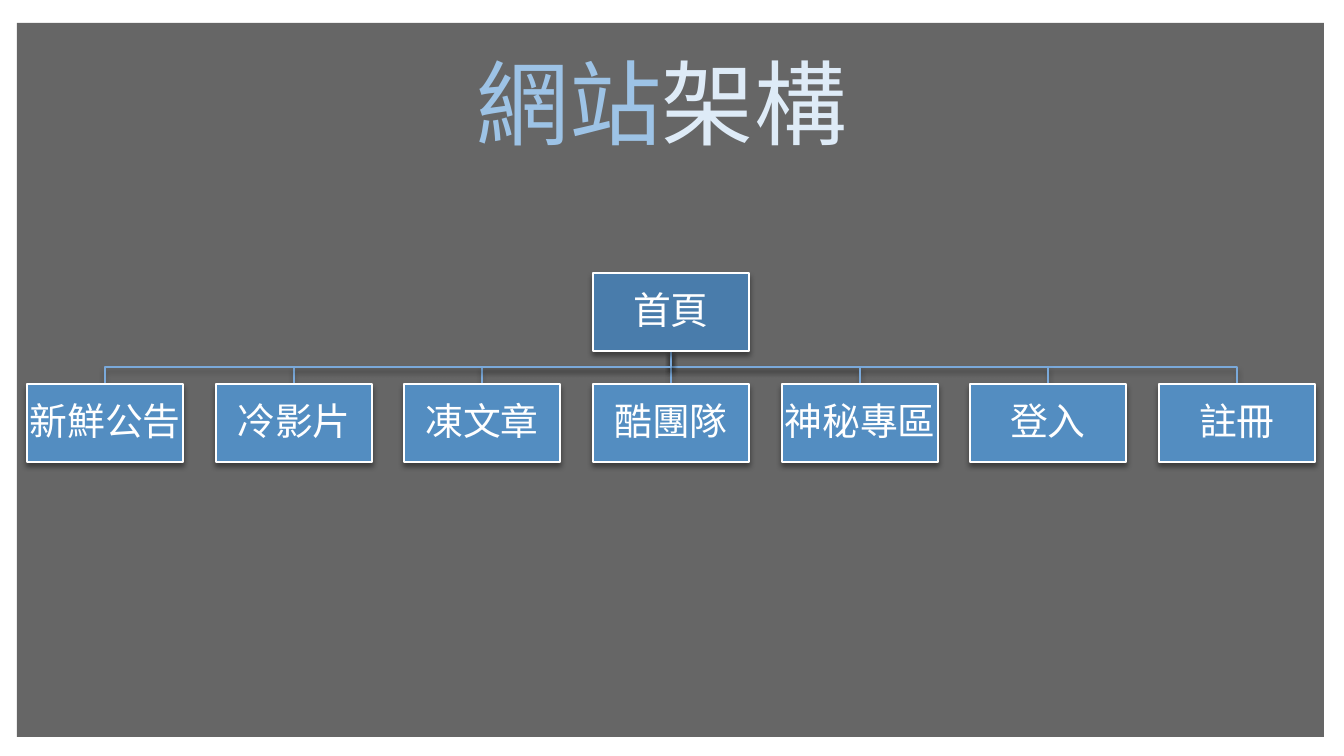
from lxml import etree
from pptx import Presentation
from pptx.dml.color import RGBColor
from pptx.enum.shapes import MSO_CONNECTOR, MSO_SHAPE
from pptx.enum.text import MSO_ANCHOR, MSO_AUTO_SIZE, PP_ALIGN
from pptx.oxml.ns import qn
from pptx.util import Emu, Pt

STRAIGHT = MSO_CONNECTOR.STRAIGHT
RECTANGLE = MSO_SHAPE.RECTANGLE
MIDDLE = MSO_ANCHOR.MIDDLE
CENTER = PP_ALIGN.CENTER
GROW = MSO_AUTO_SIZE.SHAPE_TO_FIT_TEXT
BOTTOM_SIDE, TOP_SIDE = 2, 0

SCALE = 914400 / 100.8
COLORS = {
    "veil": "000000",
    "shadow": "000000",
    "link": "7AA9DA",
    "home": "497CAB",
    "page": "538DC1",
    "white": "FFFFFF",
    "title_blue": "9DC3E6",
    "title_pale": "DEEBF7",
}

PAGES = ["新鮮公告", "冷影片", "凍文章", "酷團隊", "神秘專區", "登入", "註冊"]
BOX_WIDTH, BOX_HEIGHT = 156, 78
FIRST_LEFT, LAST_LEFT = 27, 1159
HOME_TOP, PAGE_TOP = 273, 384


def px(length):
    return Emu(round(length * SCALE))


def color(name):
    return RGBColor.from_string(COLORS[name])


class SitemapSlide:
    font_name = "Noto Sans CJK SC"

    def __init__(self, presentation):
        self.slide = presentation.slides.add_slide(presentation.slide_layouts[6])
        self.shapes = self.slide.shapes

    def add_effect_color(self, parent, name, percent):
        """Append a colour with the given opacity to an XML element."""
        element = etree.SubElement(parent, qn("a:srgbClr"), val=COLORS[name])
        etree.SubElement(element, qn("a:alpha"), val=str(percent * 1000))

    def add_shadow(self, shape):
        effects = etree.SubElement(shape._element.spPr, qn("a:effectLst"))
        outer = etree.SubElement(
            effects, qn("a:outerShdw"), blurRad=str(Pt(4)), dist=str(Pt(3)),
            dir="5400000", algn="ctr", rotWithShape="0")
        self.add_effect_color(outer, "shadow", 40)

    def style_line(self, shape, name):
        shape.line.color.rgb = color(name)
        shape.line.width = Pt(1)
        self.add_shadow(shape)

    def add_run(self, paragraph, text, size, name):
        run = paragraph.add_run()
        run.text = text
        run.font.size = Pt(size)
        run.font.name = self.font_name
        run.font.color.rgb = color(name)
        east_asian = etree.Element(qn("a:ea"), typeface=self.font_name)
        run.font._element.find(qn("a:latin")).addnext(east_asian)

    def veil(self, left, top, width, height, opacity):
        shape = self.shapes.add_shape(RECTANGLE, *map(px, (left, top, width, height)))
        shape.shadow.inherit = False
        shape.line.fill.background()
        shape.fill.solid()
        shape.fill.fore_color.rgb = color("veil")
        fill_color = shape._element.spPr.find(qn("a:solidFill"))[0]
        etree.SubElement(fill_color, qn("a:alpha"), val=str(opacity * 1000))

    def branch(self, points):
        """Draw an open bent line through the points."""
        builder = self.shapes.build_freeform(*points[0], scale=SCALE)
        builder.add_line_segments(points[1:], close=False)
        shape = builder.convert_to_shape()
        shape.fill.background()
        self.style_line(shape, "link")

    def stem(self, x, top, bottom):
        connector = self.shapes.add_connector(STRAIGHT, *map(px, (x, top, x, bottom)))
        self.style_line(connector, "link")
        return connector

    def box(self, text, left, top, fill):
        shape = self.shapes.add_shape(
            RECTANGLE, *map(px, (left, top, BOX_WIDTH, BOX_HEIGHT)))
        shape.fill.solid()
        shape.fill.fore_color.rgb = color(fill)
        self.style_line(shape, "white")
        frame = shape.text_frame
        frame_format = {"word_wrap": True, "vertical_anchor": MIDDLE}
        for side in ("left", "top", "right", "bottom"):
            frame_format[f"margin_{side}"] = px(2)
        for name, value in frame_format.items():
            setattr(frame, name, value)
        paragraph = frame.paragraphs[0]
        for name, value in {"alignment": CENTER, "line_spacing": 0.9}.items():
            setattr(paragraph, name, value)
        self.add_run(paragraph, text, 27, "white")
        return shape

    def title(self, parts, left, top, width, height):
        shape = self.shapes.add_textbox(*map(px, (left, top, width, height)))
        frame = shape.text_frame
        for name, value in {"word_wrap": True, "auto_size": GROW}.items():
            setattr(frame, name, value)
        for text, name in parts:
            self.add_run(frame.paragraphs[0], text, 66, name)


def main():
    presentation = Presentation()
    presentation.slide_width = px(1344)
    presentation.slide_height = px(756)
    sitemap = SitemapSlide(presentation)
    sitemap.veil(17, 23, 1307, 714, 60)

    last = len(PAGES) - 1
    lefts = [FIRST_LEFT + round((LAST_LEFT - FIRST_LEFT) * i / last)
             for i in range(len(PAGES))]
    home_index = len(PAGES) // 2
    home_left = lefts[home_index]
    home_x = home_left + BOX_WIDTH // 2
    home_bottom = HOME_TOP + BOX_HEIGHT
    bus_y = (home_bottom + PAGE_TOP) // 2

    for left in reversed(lefts):
        page_x = left + BOX_WIDTH // 2
        if page_x == home_x:
            stem = sitemap.stem(home_x, home_bottom, PAGE_TOP)
        else:
            sitemap.branch([(home_x, home_bottom), (home_x, bus_y),
                            (page_x, bus_y), (page_x, PAGE_TOP)])

    home = sitemap.box("首頁", home_left, HOME_TOP, "home")
    pages = [sitemap.box(text, left, PAGE_TOP, "page")
             for text, left in zip(PAGES, lefts)]
    stem.begin_connect(home, BOTTOM_SIDE)
    stem.end_connect(pages[home_index], TOP_SIDE)

    sitemap.title([("網站", "title_blue"), ("架構", "title_pale")], 467, 41, 579, 122)
    presentation.save("out.pptx")


if __name__ == "__main__":
    main()
